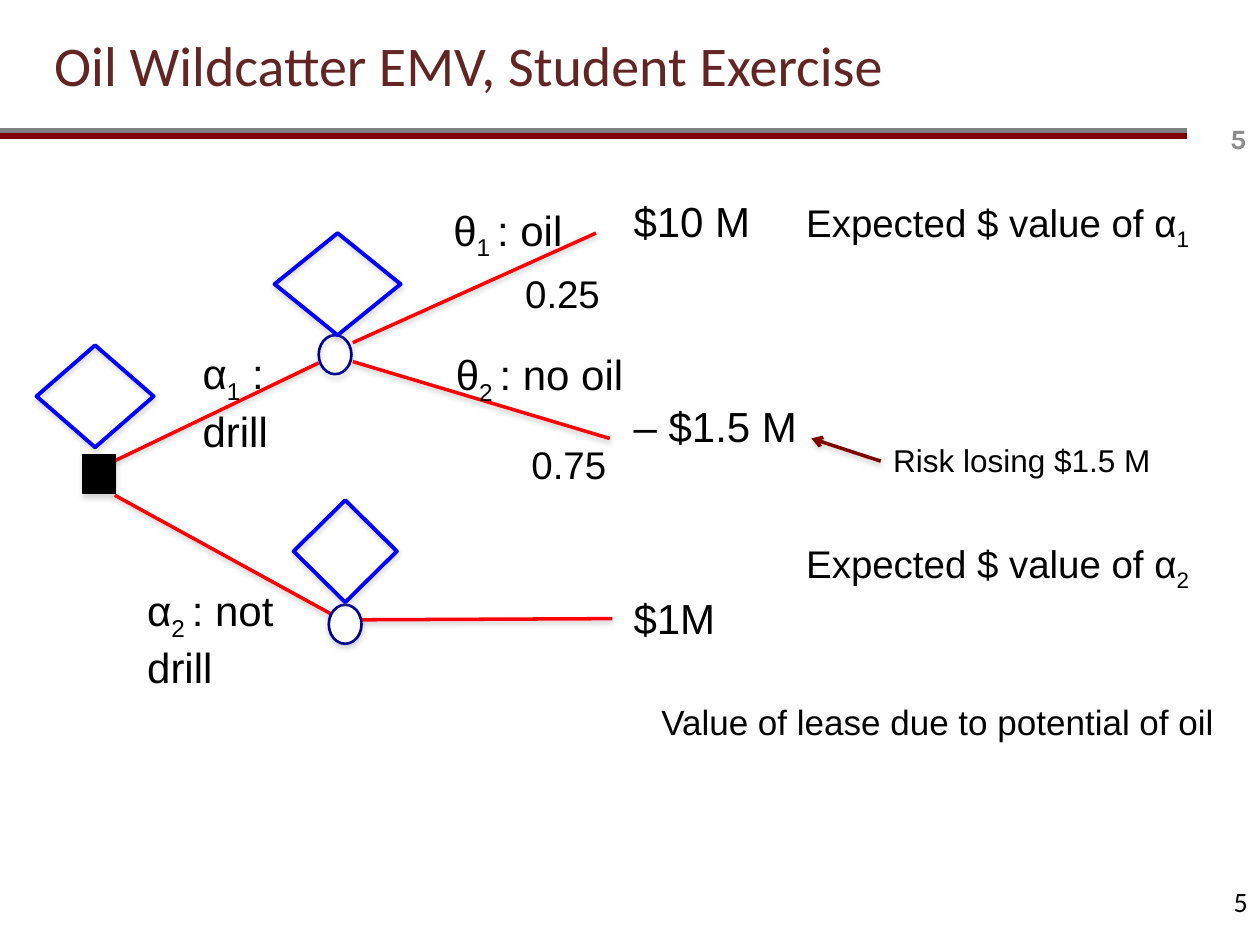
from dataclasses import dataclass

from lxml import etree
from pptx import Presentation
from pptx.dml.color import RGBColor
from pptx.enum.shapes import MSO_CONNECTOR, MSO_SHAPE
from pptx.enum.text import MSO_ANCHOR, MSO_AUTO_SIZE, PP_ALIGN
from pptx.oxml.ns import qn
from pptx.util import Inches, Pt

STRAIGHT = MSO_CONNECTOR.STRAIGHT
RECTANGLE, OVAL, DIAMOND = MSO_SHAPE.RECTANGLE, MSO_SHAPE.OVAL, MSO_SHAPE.DIAMOND
MIDDLE = MSO_ANCHOR.MIDDLE
LEFT, RIGHT = PP_ALIGN.LEFT, PP_ALIGN.RIGHT
GROW = MSO_AUTO_SIZE.SHAPE_TO_FIT_TEXT
TITLE_ONLY = 5


@dataclass(frozen=True)
class Theme:
    black: str = "000000"
    white: str = "FFFFFF"
    gray: str = "808080"
    pale_gray: str = "8C8C8C"
    maroon: str = "800000"
    brown: str = "632523"
    red: str = "FF0000"
    navy: str = "000090"
    blue: str = "0000FF"
    body_font: str = "Arial"
    title_font: str = "Calibri"
    number_font: str = "Karla"
    title: int = 32
    branch: int = 24
    value: int = 22
    remark: int = 20
    small: int = 18
    number: int = 16


THEME = Theme()
NODE_SIZE = (0.26, 0.31)
DIAMOND_HEIGHT = 0.81


def color(value):
    return RGBColor.from_string(value)


def set_effects(shape, distance=None, alpha=None):
    """Replace the theme's shadow by a soft one straight below, or by none."""
    effects = etree.SubElement(shape._element.spPr, qn("a:effectLst"))
    if distance is None:
        return
    shadow = etree.SubElement(
        effects, qn("a:outerShdw"), blurRad=str(Pt(3.1)), dist=str(Pt(distance)),
        dir="5400000", rotWithShape="0")
    tint = etree.SubElement(shadow, qn("a:srgbClr"), val=THEME.gray)
    etree.SubElement(tint, qn("a:alpha"), val=str(alpha * 1000))


def add_line(page, start, end, line_color, width=2, arrow=False, shadow=True):
    line = page.shapes.add_connector(STRAIGHT, *(Inches(n) for n in (*start, *end)))
    line.line.color.rgb = color(line_color)
    line.line.width = Pt(width)
    if arrow:
        etree.SubElement(line.line._get_or_add_ln(), qn("a:tailEnd"), type="arrow")
    if shadow:
        set_effects(line, 1.6, 38)
    else:
        set_effects(line)


def add_node(page, kind, place, size, line_color, width, fill=None):
    node = page.shapes.add_shape(kind, *(Inches(n) for n in (*place, *size)))
    if fill:
        node.fill.solid()
        node.fill.fore_color.rgb = color(fill)
    else:
        node.fill.background()
    node.line.color.rgb = color(line_color)
    node.line.width = Pt(width)
    set_effects(node, 1.8, 35)


def add_span(para, text, size, font=THEME.body_font, ink=THEME.black,
             bold=False, subscript=False):
    span = para.add_run()
    span.text = text
    span.font.size = Pt(size)
    span.font.name = font
    span.font.bold = bold
    span.font.color.rgb = color(ink)
    if subscript:
        span.font._element.set("baseline", "-25000")


def add_label(page, place, size, text, points, subscript="", rest="", wrap=False):
    box = page.shapes.add_textbox(*(Inches(n) for n in (*place, *size)))
    frame = box.text_frame
    frame.word_wrap = wrap
    frame.auto_size = GROW
    para = frame.paragraphs[0]
    add_span(para, text, points)
    if subscript:
        add_span(para, subscript, points, subscript=True)
    if rest:
        add_span(para, rest, points)


def add_page_number(page, left, top, width, font, ink, bold=False):
    box = page.shapes.add_textbox(Inches(left), Inches(top), Inches(width), Inches(0.4))
    frame = box.text_frame
    frame.word_wrap = True
    frame.vertical_anchor = MIDDLE
    para = frame.paragraphs[0]
    para.alignment = RIGHT
    add_span(para, "5", THEME.number, font, ink, bold)


def add_heading(page):
    for top, ink in ((1.04, THEME.gray), (1.08, THEME.maroon)):
        add_line(page, (0, top), (9.42, top), ink, width=3, shadow=False)
    title = page.shapes.title
    title.left, title.top = Inches(0.33), Inches(0.06)
    title.width, title.height = Inches(6.92), Inches(0.9)
    title.text_frame.vertical_anchor = MIDDLE
    para = title.text_frame.paragraphs[0]
    para.alignment = LEFT
    add_span(para, "Oil Wildcatter EMV, Student Exercise", THEME.title,
             THEME.title_font, THEME.brown)
    add_page_number(page, 9.17, 0.9, 0.82, THEME.number_font, THEME.pale_gray, True)
    add_page_number(page, 9.52, 6.95, 0.48, THEME.title_font, THEME.black)


def add_tree(page):
    branches = (
        ((0.76, 3.73), (2.53, 2.88)),
        ((0.91, 3.93), (2.75, 4.94)),
        ((2.8, 2.72), (4.73, 1.85)),
        ((2.8, 2.87), (4.84, 3.48)),
        ((2.75, 4.92), (4.86, 4.91)),
    )
    for start, end in branches:
        add_line(page, start, end, THEME.red)
    add_node(page, RECTANGLE, (0.66, 3.61), NODE_SIZE, THEME.black, 0.75, THEME.black)
    add_node(page, OVAL, (2.53, 2.66), NODE_SIZE, THEME.navy, 1.5)
    add_node(page, OVAL, (2.61, 4.8), NODE_SIZE, THEME.navy, 1.5, THEME.white)
    for left, top, width in ((0.29, 2.74, 0.93), (2.18, 1.85, 1), (2.33, 3.97, 0.82)):
        add_node(page, DIAMOND, (left, top), (width, DIAMOND_HEIGHT), THEME.blue, 2.25)


def add_branch_labels(page):
    add_label(page, (1.51, 2.71), (1.14, 0.91), "α", THEME.branch, "1", " : drill", True)
    add_label(page, (1.07, 4.59), (1.37, 0.91), "α", THEME.branch, "2 ", ": not drill", True)
    add_label(page, (3.5, 1.57), (1.1, 0.51), "θ", THEME.branch, "1 ", ": oil")
    add_label(page, (3.52, 2.72), (1.63, 0.51), "θ", THEME.branch, "2 ", ": no oil")
    add_label(page, (4.07, 2.09), (0.8, 0.47), "0.25", THEME.value)
    add_label(page, (4.12, 3.45), (0.8, 0.47), "0.75", THEME.value)


def add_outcomes(page):
    for top, width, payoff in ((1.5, 1.14, "$10 M"), (3.13, 1.51, "– $1.5 M"),
                               (4.65, 0.86, "$1M")):
        add_label(page, (4.93, top), (width, 0.51), payoff, THEME.branch)
    for top, action in ((1.53, "1"), (4.24, "2")):
        add_label(page, (6.3, top), (3.39, 0.47), "Expected $ value of α",
                  THEME.value, action)
    add_label(page, (5.15, 5.51), (4.64, 0.44),
              "Value of lease due to potential of oil", THEME.remark)
    add_label(page, (6.99, 3.45), (2.26, 0.4), "Risk losing $1.5 M", THEME.small)
    add_line(page, (6.99, 3.66), (6.44, 3.48), THEME.maroon, arrow=True)


def main():
    deck = Presentation()
    deck.slide_width, deck.slide_height = Inches(10), Inches(7.5)
    page = deck.slides.add_slide(deck.slide_layouts[TITLE_ONLY])
    add_heading(page)
    add_tree(page)
    add_branch_labels(page)
    add_outcomes(page)
    deck.save("out.pptx")


if __name__ == "__main__":
    main()
